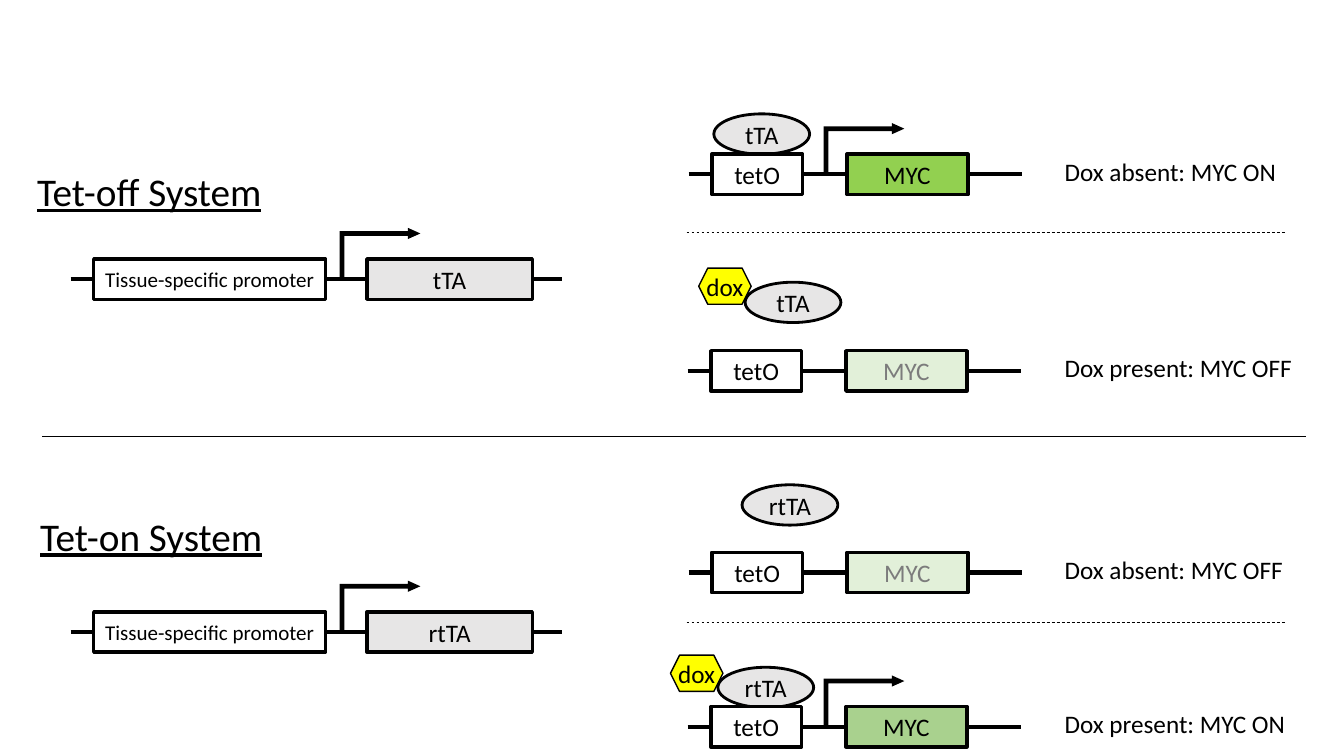
from pptx import Presentation
from pptx.dml.color import RGBColor
from pptx.enum.dml import MSO_LINE
from pptx.enum.shapes import MSO_CONNECTOR, MSO_SHAPE
from pptx.enum.text import MSO_ANCHOR, PP_ALIGN
from pptx.oxml.ns import qn
from pptx.util import Inches, Pt
from lxml.etree import SubElement

BLACK = RGBColor(0x00, 0x00, 0x00)
WHITE = RGBColor(0xFF, 0xFF, 0xFF)
GRAY = RGBColor(0xE7, 0xE6, 0xE6)
YELLOW = RGBColor(0xFF, 0xFF, 0x00)
BRIGHT_GREEN = RGBColor(0x92, 0xD0, 0x50)
SOFT_GREEN = RGBColor(0xA9, 0xD1, 0x8E)
PALE_GREEN = RGBColor(0xE2, 0xF0, 0xD9)
FADED_TEXT = RGBColor(0x7C, 0x7C, 0x7C)

# The slide is a grid of 133.3 columns by 75 rows of equal square cells
CELL = Inches(0.1)
BOX_HEIGHT = 4

presentation = Presentation()
presentation.slide_width = round(133.3 * CELL)
presentation.slide_height = 75 * CELL
slide = presentation.slides.add_slide(presentation.slide_layouts[6])


def add_line(left, right, row, weight, dash=None):
    line = slide.shapes.add_connector(
        MSO_CONNECTOR.STRAIGHT,
        *[round(cells * CELL) for cells in (left, row, right, row)])
    line.line.color.rgb = BLACK
    line.line.width = Pt(weight)
    if dash:
        line.line.dash_style = dash
    SubElement(line._element.spPr, qn("a:effectLst"))


def add_part(kind, left, middle, width, height, fill=None, weight=0,
             text="", size=18, color=BLACK):
    """Place a part centred on a grid row; without a kind it is a text box."""
    frame = [round(cells * CELL)
             for cells in (left, middle - height / 2, width, height)]
    if kind is None:
        shape = slide.shapes.add_textbox(*frame)
    else:
        shape = slide.shapes.add_shape(kind, *frame)
        shape.shadow.inherit = False
        shape.fill.solid()
        shape.fill.fore_color.rgb = fill
        if weight:
            shape.line.color.rgb = BLACK
            shape.line.width = Pt(weight)
        else:
            shape.line.fill.background()
    if text:
        text_frame = shape.text_frame
        text_frame.word_wrap = False
        text_frame.vertical_anchor = MSO_ANCHOR.MIDDLE
        paragraph = text_frame.paragraphs[0]
        paragraph.alignment = PP_ALIGN.CENTER if kind else PP_ALIGN.LEFT
        run = paragraph.add_run()
        run.text = text
        run.font.name = "Calibri"
        run.font.size = Pt(size)
        run.font.color.rgb = color
        run.font.underline = size == 28
    return shape


# Left side: heading and driver construct of each system
# heading, heading column, heading row, DNA row, protein
systems = [
    ("Tet-off System", 2.7, 18.95, 27.7, "tTA"),
    ("Tet-on System", 3, 53.15, 62.7, "rtTA"),
]
arrow_spots = []
for heading, column, heading_row, row, protein in systems:
    add_part(None, column, heading_row, 24.6, 5.7, text=heading, size=28)
    add_line(7, 55.7, row, 3)
    add_part(MSO_SHAPE.RECTANGLE, 9.3, row, 23, BOX_HEIGHT, WHITE, 2.5,
             "Tissue-specific promoter", 15)
    add_part(MSO_SHAPE.RECTANGLE, 36.4, row, 16.4, BOX_HEIGHT, GRAY, 2.5,
             protein)
    arrow_spots.append((37.7, row))

# Right side: MYC construct with and without dox
# DNA column and row, protein, its column and row, dox column and row,
# MYC fill, MYC text colour, label, MYC active
states = [
    (68.3, 17.3, "tTA", 70.8, 13.3, None,
     BRIGHT_GREEN, BLACK, "Dox absent: MYC ON", True),
    (68.2, 36.8, "tTA", 73.9, 30, (69.3, 28.4),
     PALE_GREEN, FADED_TEXT, "Dox present: MYC OFF", False),
    (68.3, 56.8, "rtTA", 73.6, 50.1, None,
     PALE_GREEN, FADED_TEXT, "Dox absent: MYC OFF", False),
    (68.2, 72.1, "rtTA", 71.2, 68.2, (66.5, 66.8),
     SOFT_GREEN, BLACK, "Dox present: MYC ON", True),
]
for (start, row, protein, protein_column, protein_row, dox,
     myc_fill, myc_color, label, active) in states:
    add_line(start, start + 33.1, row, 3)
    add_part(MSO_SHAPE.OVAL, protein_column, protein_row, 9.5, BOX_HEIGHT,
             GRAY, 2, protein)
    add_part(MSO_SHAPE.RECTANGLE, start + 2.3, row, 9, BOX_HEIGHT,
             WHITE, 2.5, "tetO")
    add_part(MSO_SHAPE.RECTANGLE, start + 15.7, row, 12, BOX_HEIGHT,
             myc_fill, 2.5, "MYC", color=myc_color)
    if dox:
        add_part(MSO_SHAPE.HEXAGON, *dox, 5.2, 3.6, YELLOW, 1, "dox")
    if active:
        arrow_spots.append((85.7, row))
    add_part(None, 104.6, row - 0.3, 24.8, BOX_HEIGHT, text=label)

# Transcription arrows rising from the DNA
for center, row in arrow_spots:
    arrow = add_part(MSO_SHAPE.BENT_UP_ARROW, center - 2.5, row - 2.6, 5, 8,
                     BLACK)
    for index, value in enumerate((0.093, 0.112, 0.25)):
        arrow.adjustments[index] = value
    arrow.rotation = 90
    arrow._element.spPr.xfrm.set("flipH", "1")

# Dividers between systems and between states
add_line(4.2, 129.5, 43.3, 0.5)
for row in (23.1, 61.7):
    add_line(68.1, 127.5, row, 0.5, MSO_LINE.DASH)

presentation.save("out.pptx")
